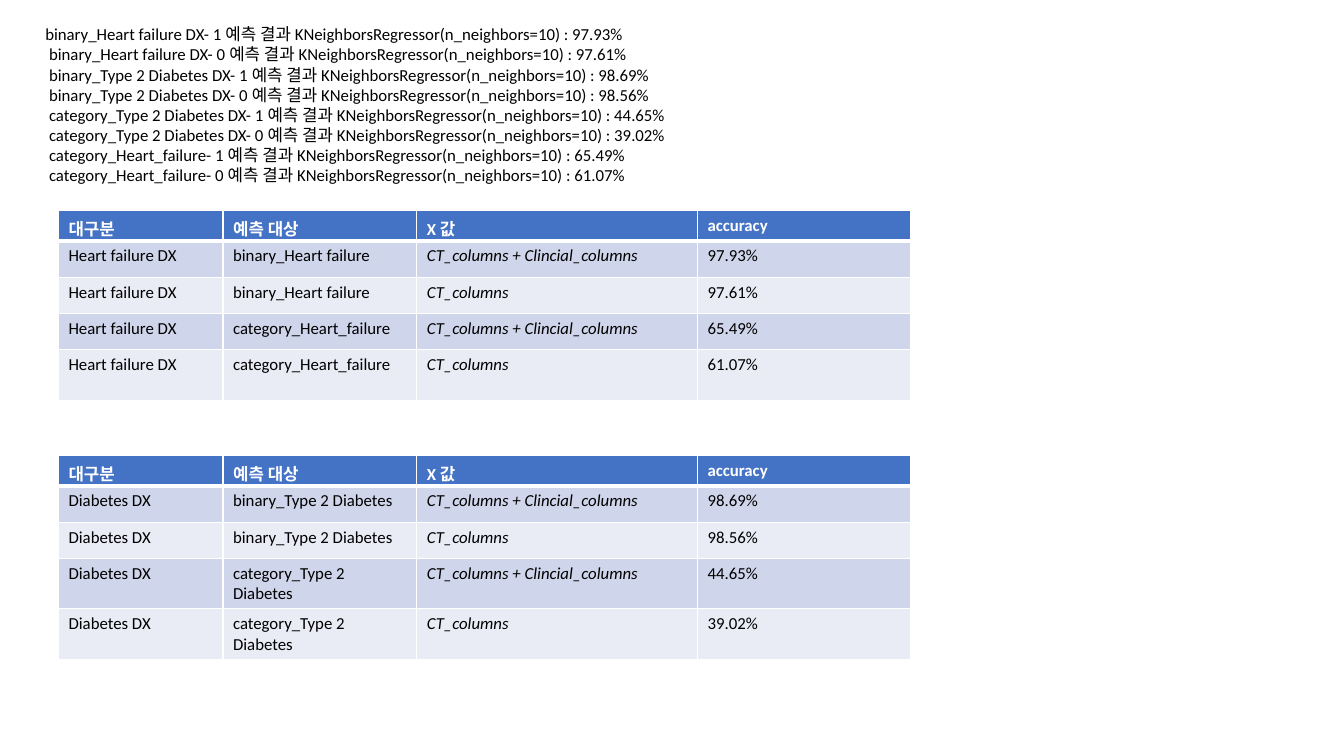
from pptx import Presentation
from pptx.dml.color import RGBColor
from pptx.enum.text import MSO_ANCHOR, MSO_AUTO_SIZE
from pptx.oxml.ns import qn
from pptx.util import Inches, Pt
from lxml import etree

TOP = MSO_ANCHOR.TOP
FIT_SHAPE = MSO_AUTO_SIZE.SHAPE_TO_FIT_TEXT
WHITE = RGBColor(0xFF, 0xFF, 0xFF)
BLACK = RGBColor(0, 0, 0)
HEADER_BLUE = RGBColor(0x44, 0x72, 0xC4)
BANDS = (RGBColor(0xCF, 0xD5, 0xEA), RGBColor(0xE9, 0xEB, 0xF5))
FONT = "Calibri"

# Prediction target, its name in the log, accuracy with and without clinical columns
RESULTS = [
    ("binary_Heart failure", "binary_Heart failure DX", ("97.93%", "97.61%")),
    ("binary_Type 2 Diabetes", "binary_Type 2 Diabetes DX", ("98.69%", "98.56%")),
    ("category_Type 2 Diabetes", "category_Type 2 Diabetes DX", ("44.65%", "39.02%")),
    ("category_Heart_failure", "category_Heart_failure", ("65.49%", "61.07%")),
]
HEADERS = ("대구분", "예측 대상", "X 값", "accuracy")
X_VALUES = ("CT_columns + Clincial_columns", "CT_columns")
COL_WEIGHTS = (163, 192, 278, 211)

prs = Presentation()
prs.slide_width, prs.slide_height = Inches(13.33), Inches(7.5)
s = prs.slides.add_slide(prs.slide_layouts[6])


def box(left, top, width, height):
    """Turn percentages of the slide into lengths."""
    w, h = prs.slide_width / 100, prs.slide_height / 100
    return int(left * w), int(top * h), int(width * w), int(height * h)


def write(p, text, size=12, color=BLACK, bold=False, italic=False):
    r = p.add_run()
    r.text = text
    f = r.font
    f.name, f.size, f.bold, f.italic = FONT, Pt(size), bold, italic
    f.color.rgb = color


def add_border(cell, side, width):
    ln = etree.SubElement(cell._tc.get_or_add_tcPr(), qn(f"a:ln{side}"), w=str(Pt(width)))
    fill = etree.SubElement(ln, qn("a:solidFill"))
    etree.SubElement(fill, qn("a:srgbClr"), val=str(WHITE))


def add_log(area):
    tf = s.shapes.add_textbox(*area).text_frame
    tf.word_wrap = True
    tf.auto_size = FIT_SHAPE
    lines = [f"{name}- {flag} 예측 결과 KNeighborsRegressor(n_neighbors=10) : {score}"
             for _, name, scores in RESULTS for flag, score in zip((1, 0), scores)]
    for i, line in enumerate(lines):
        p = tf.add_paragraph() if i else tf.paragraphs[0]
        write(p, " " + line if i else line)


def add_results(area, group, disease, row_weights):
    rows = [HEADERS] + [(group, target, x, score)
                        for target, _, scores in RESULTS if disease in target
                        for x, score in zip(X_VALUES, scores)]
    table = s.shapes.add_table(len(rows), len(HEADERS), *area).table
    for col, weight in zip(table.columns, COL_WEIGHTS):
        col.width = int(area[2] * weight / sum(COL_WEIGHTS))
    for row, weight in zip(table.rows, row_weights):
        row.height = int(area[3] * weight / sum(row_weights))

    for i, values in enumerate(rows):
        header = i == 0
        for j, text in enumerate(values):
            cell = table.cell(i, j)
            cell.vertical_anchor = TOP
            # A thick rule parts the header from the body
            for side, width in (("L", 1), ("R", 1), ("T", 3 if i == 1 else 1),
                                ("B", 3 if header else 1)):
                add_border(cell, side, width)
            cell.fill.solid()
            cell.fill.fore_color.rgb = HEADER_BLUE if header else BANDS[(i - 1) % 2]
            write(cell.text_frame.paragraphs[0], text, bold=header,
                  color=WHITE if header else BLACK, italic=not header and j == 2)


# Log of predictions, then one table for each disease
add_log(box(2.63, 2.53, 60.84, 22.93))
add_results(box(4.35, 27.87, 63.4, 24.93), "Heart failure DX", "Heart", (29, 36, 36, 36, 50))
add_results(box(4.35, 60.27, 63.4, 26.8), "Diabetes DX", "Diabetes", (29, 36, 36, 50, 50))

prs.save("out.pptx")
